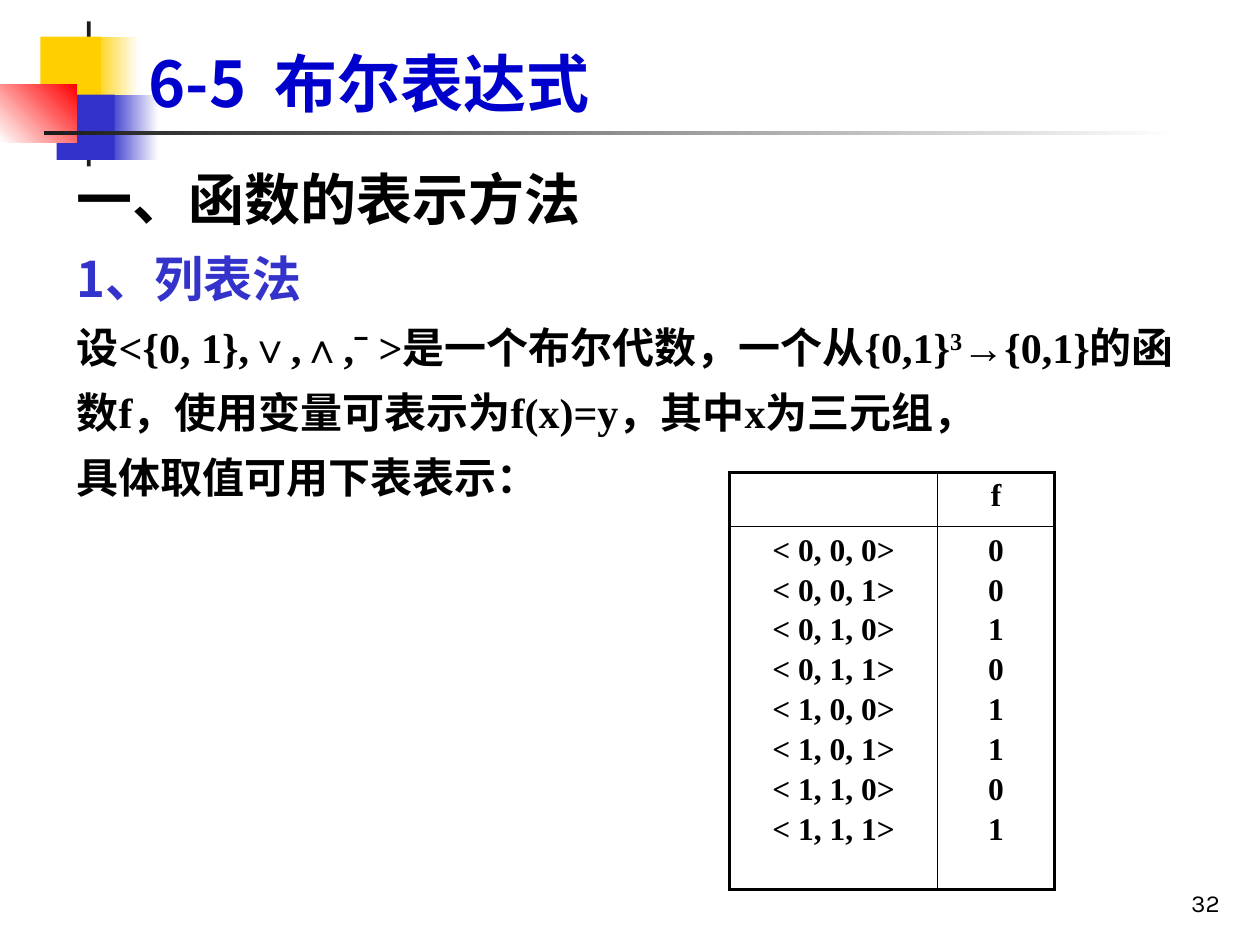
from lxml.etree import SubElement
from pptx import Presentation
from pptx.dml.color import RGBColor
from pptx.enum.shapes import MSO_SHAPE
from pptx.enum.text import MSO_ANCHOR, PP_ALIGN
from pptx.oxml.ns import qn
from pptx.util import Inches, Pt

COLORS = {"gold": "FFCF01", "blue": "3333CC", "title": "0000CC", "dark": "1C1C1C",
          "red": "FF0000", "white": "FFFFFF", "black": "000000"}
SANS, SERIF, PAGE = "Noto Sans CJK SC", "Times New Roman", "Karla"

# left, top, width, height, fill colours (two make a gradient), angle
DECOR = [
    (0.74, 0.29, 0.36, 0.52, ["gold", "white"], 0),
    (0.86, 0.75, 0.40, 0.52, ["blue", "white"], 0),
    (0.69, 0.17, 0.03, 1.15, ["dark"], 0),
    (0.32, 0.29, 0.48, 0.52, ["gold"], 0),
    (0.45, 0.75, 0.46, 0.52, ["blue"], 0),
    (0, 0.67, 0.61, 0.46, ["white", "red"], 45),
    (0.35, 1.04, 9, 0.03, ["dark", "white"], 0),
]
TITLE = "6-5  布尔表达式"
# runs, size, line spacing, font, colour
BODY = [
    (["一、函数的表示方法"], 32, 52, SANS, "black"),
    (["1、列表法"], 28, 43, SANS, "blue"),
    (["设<{0, 1},∨,∧,ˉ >是一个布尔代数，一个从{0,1}", "3",
      "→{0,1}的函数f，使用变量可表示为f(x)=y，其中x为三元组，"], 24, 37, SERIF, "black"),
    (["具体取值可用下表表示："], 24, 37, SERIF, "black"),
]
TRIPLES = ["< 0, 0, 0>", "< 0, 0, 1>", "< 0, 1, 0>", "< 0, 1, 1>",
           "< 1, 0, 0>", "< 1, 0, 1>", "< 1, 1, 0>", "< 1, 1, 1>"]
VALUES = ["0", "0", "1", "0", "1", "1", "0", "1"]
CELLS = [[[], ["f"]], [TRIPLES, VALUES]]
COLS, ROWS = [1.65, 0.93], [0.43, 2.88]


def color(name):
    return RGBColor.from_string(COLORS[name])


def style(run, size, face, tint, bold=True):
    font = run.font
    font.size, font.name, font.bold = Pt(size), face, bold
    font.color.rgb = color(tint)
    SubElement(run._r.get_or_add_rPr(), qn("a:ea"), typeface=SANS)


def add_decor(slide):
    for left, top, width, height, tints, angle in DECOR:
        block = slide.shapes.add_shape(
            MSO_SHAPE.RECTANGLE, *map(Inches, (left, top, width, height)))
        block.shadow.inherit = False
        block.line.fill.background()
        if len(tints) == 1:
            block.fill.solid()
            block.fill.fore_color.rgb = color(tints[0])
            continue
        block.fill.gradient()
        block.fill.gradient_angle = angle
        for stop, tint in zip(block.fill.gradient_stops, tints):
            stop.color.rgb = color(tint)


def add_box(slide, *place):
    frame = slide.shapes.add_textbox(*map(Inches, place)).text_frame
    frame.word_wrap = True
    return frame


def add_body(slide):
    frame = add_box(slide, 0.51, 1.07, 9.05, 2.96)
    for i, (texts, size, pitch, face, tint) in enumerate(BODY):
        para = frame.add_paragraph() if i else frame.paragraphs[0]
        para.line_spacing = Pt(pitch)
        for j, text in enumerate(texts):
            run = para.add_run()
            run.text = text
            style(run, size, face, tint)
            if j == 1:
                run._r.get_or_add_rPr().set("baseline", "30000")


def add_borders(cell, row, col):
    """Draw thick lines on the outer edges and thin lines inside."""
    props = cell._tc.get_or_add_tcPr()
    outer = {"L": col == 0, "R": col == 1, "T": row == 0, "B": row == 1}
    for side, thick in outer.items():
        line = SubElement(props, qn("a:ln" + side), w=str(Pt(2.25 if thick else 1)))
        SubElement(SubElement(line, qn("a:solidFill")), qn("a:srgbClr"), val=COLORS["black"])


def add_values(slide):
    table = slide.shapes.add_table(
        2, 2, Inches(5.79), Inches(3.75), Inches(sum(COLS)), Inches(sum(ROWS))).table
    table.first_row = table.horz_banding = False
    for part, size in zip([*table.columns], COLS):
        part.width = Inches(size)
    for part, size in zip([*table.rows], ROWS):
        part.height = Inches(size)
    for row, line in enumerate(CELLS):
        for col, texts in enumerate(line):
            cell = table.cell(row, col)
            add_borders(cell, row, col)
            cell.fill.background()
            cell.text_frame.text = "\n".join(texts)
            for i, para in enumerate(cell.text_frame.paragraphs):
                para.alignment = PP_ALIGN.CENTER
                if i:
                    para.space_before = Pt(2.9)
                for run in para.runs:
                    style(run, 18, SERIF, "black")


def add_title(slide):
    title = slide.shapes.title
    title.left, title.top, title.width, title.height = map(Inches, (1.08, 0.3, 7.91, 0.7))
    frame = title.text_frame
    frame.text = TITLE
    frame.vertical_anchor = MSO_ANCHOR.BOTTOM
    frame.paragraphs[0].alignment = PP_ALIGN.LEFT
    style(frame.paragraphs[0].runs[0], 36, SANS, "title")
    tree = slide.shapes._spTree
    tree.append(title._element)


def add_number(slide):
    frame = add_box(slide, 7.7, 6.83, 2.08, 0.5)
    frame.text = "32"
    frame.vertical_anchor = MSO_ANCHOR.BOTTOM
    frame.paragraphs[0].alignment = PP_ALIGN.RIGHT
    style(frame.paragraphs[0].runs[0], 14, PAGE, "black", bold=False)


def main():
    deck = Presentation()
    deck.slide_width, deck.slide_height = Inches(10), Inches(7.5)
    slide = deck.slides.add_slide(deck.slide_layouts[5])
    for add in (add_decor, add_number, add_body, add_values, add_title):
        add(slide)
    deck.save("out.pptx")


if __name__ == "__main__":
    main()
